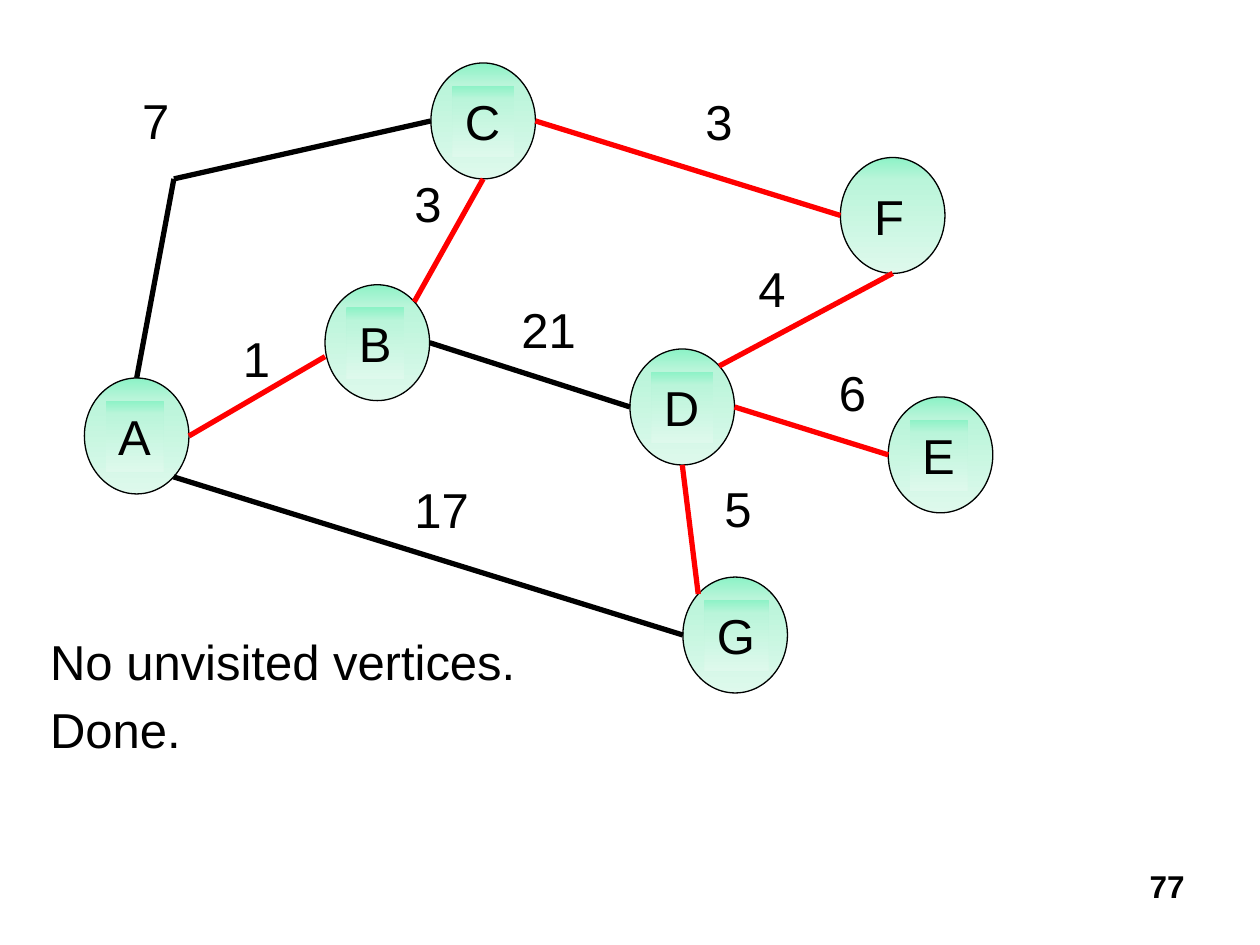
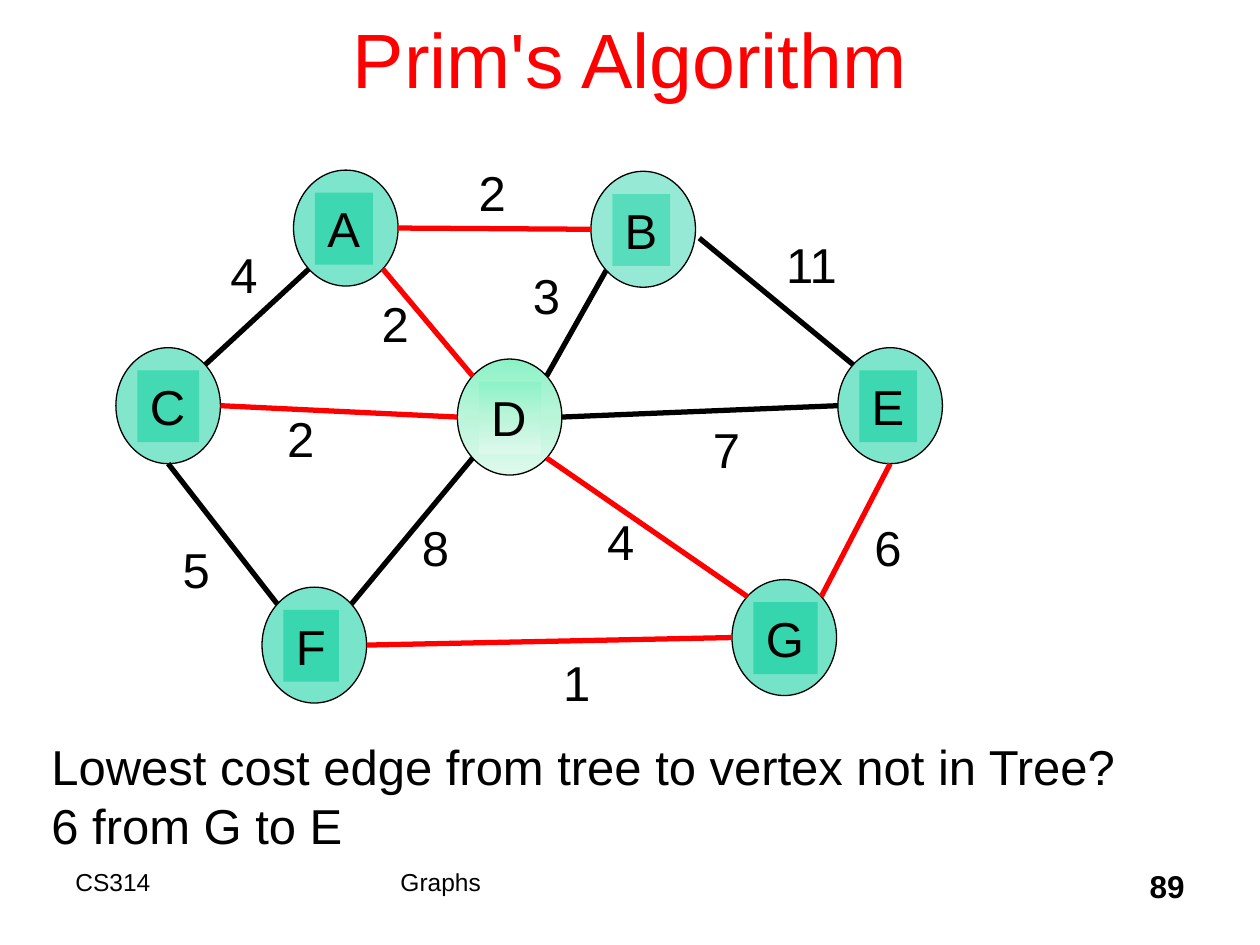
import math
import lxml.etree
import pptx
import pptx.dml.color
import pptx.enum.shapes
import pptx.enum.text
import pptx.oxml
import pptx.oxml.ns
import pptx.util

Inches = pptx.util.Inches
ALIGN = pptx.enum.text.PP_ALIGN
qualified = pptx.oxml.ns.qn

THEME = {
    "font": "Arial", "black": "000000", "red": "FF0000", "green": "00CC99",
    "mint": ["8CF2C6", "BAF5DA", "DEF9EC"],
    "title": 44, "body": 28, "page": 18, "footer": 14,
    "edge": 3, "outline": 0.75,
}
SLIDE_SIZE = (10, 7.5)
NODE_SIZE = (0.83, 0.92)
LETTER_OFFSET = (0.17, 0.18)
LINE_HEIGHT = 0.57
TEXT_WIDTHS = {"A": 0.46, "B": 0.46, "C": 0.49, "D": 0.49, "E": 0.46,
               "F": 0.44, "G": 0.51, "11": 0.61}
FOOTER_TOP, FOOTER_HEIGHT = 6.83, 0.5

# Compass points on a vertex, as clockwise degrees from east
COMPASS = {"E": 0, "SE": 45, "S": 90, "SW": 135, "W": 180, "NW": 225, "N": 270, "NE": 315}

# nodes: letter -> (left, top, alpha percent; None means the mint gradient)
# edges: two ends, each "vertex compass-point" or a free (x, y)
# weights: (text, left, top)
FINISHED_TREE = {
    "page": "77",
    "middle_stop": 19,
    "plain_letters": "F",
    "nodes": {
        "A": (0.67, 3, None), "B": (2.58, 2.26, None), "C": (3.42, 0.5, None),
        "F": (6.67, 1.25, None), "D": (5, 2.77, None), "E": (7.05, 3.15, None),
        "G": (5.42, 4.58, None),
    },
    "tree_edges": [
        ("A E", (2.58, 2.83)), ("B NE", "C S"), ("C E", "F W"),
        ("F S", "D NE"), ("D E", "E W"), ("D S", "G NW"),
    ],
    "other_edges": [
        ("B E", "D W"), ("A SE", "G W"),
        ("A N", (1.38, 1.42)), ((1.38, 1.42), "C W"),
    ],
    "weights": [
        ("1", 1.83, 2.56), ("3", 3.19, 1.33), ("3", 5.5, 0.68), ("21", 4.04, 2.33),
        ("4", 5.92, 2), ("6", 6.56, 2.83), ("17", 3.19, 3.76), ("5", 5.65, 3.75),
        ("7", 1.03, 0.67),
    ],
    "caption": ["No unvisited vertices.", "Done."],
    "caption_place": (0.3, 4.96, 3.94, 1.14),
    "caption_wrap": False,
}
LAST_STEP = {
    "title": "Prim's Algorithm",
    "footers": [("CS314", 0.5, 2.5), ("Graphs", 3.08, 3.83)],
    "page": "89",
    "middle_stop": 50,
    "plain_letters": "",
    "nodes": {
        "A": (2.33, 1.35, 51), "B": (4.69, 1.36, 41), "C": (0.92, 2.76, 49),
        "F": (2.08, 4.66, 53), "D": (3.63, 2.85, None), "E": (6.65, 2.76, 51),
        "G": (5.81, 4.6, 54),
    },
    "tree_edges": [
        ("A E", "B W"), ("F E", "G W"), ("C E", "D W"),
        ("E S", "G NE"), ("A SE", "D NW"), ("D SE", "G NW"),
    ],
    "other_edges": [
        ((5.55, 1.89), "E NW"), ("A SW", "C NE"), ("C S", "F NW"),
        ("D E", "E W"), ("D NE", "B SW"), ("D SW", "F NE"),
    ],
    "weights": [
        ("2", 2.93, 2.28), ("3", 4.13, 2.06), ("11", 6.14, 1.81), ("2", 3.7, 1.24),
        ("7", 5.56, 3.28), ("6", 6.84, 4.06), ("2", 2.18, 3.19), ("1", 4.37, 5.13),
        ("4", 1.73, 1.89), ("5", 1.35, 4.23), ("8", 3.25, 4.06), ("4", 4.72, 4.01),
    ],
    "caption": ["Lowest cost edge from tree to vertex not in Tree?\v6 from G to E"],
    "caption_place": (0.31, 5.8, 10.08, 1.04),
    "caption_wrap": True,
}


def rgb(color):
    return pptx.dml.color.RGBColor.from_string(color)


def write(frame, paragraphs, size=THEME["body"], color=THEME["black"], bold=False,
          align=ALIGN.LEFT, space_before=0, wrap=True, grow=False):
    """Fill a text frame; space_before is a percentage of the line."""
    frame.word_wrap = wrap
    if grow:
        frame.auto_size = pptx.enum.text.MSO_AUTO_SIZE.SHAPE_TO_FIT_TEXT
    for index, text in enumerate(paragraphs):
        para = frame.add_paragraph() if index else frame.paragraphs[0]
        para.text = text
        para.alignment = align
        if space_before:
            spacing = lxml.etree.SubElement(para._p.get_or_add_pPr(), qualified("a:spcBef"))
            lxml.etree.SubElement(spacing, qualified("a:spcPct"), val=str(space_before * 1000))
        for span in para.runs:
            span.font.name = THEME["font"]
            span.font.size = pptx.util.Pt(size)
            span.font.bold = bold
            span.font.color.rgb = rgb(color)


def add_text(shapes, place, paragraphs, **style):
    box = shapes.add_textbox(*map(Inches, place))
    write(box.text_frame, paragraphs, **style)
    return box


def add_label(shapes, text, left, top):
    width = TEXT_WIDTHS.get(text, 0.42 if len(text) == 1 else 0.64)
    return add_text(shapes, (left, top, width, LINE_HEIGHT), [text],
                    space_before=20, wrap=False, grow=True)


def paint(shape, alpha, middle_stop):
    """Fill with see-through green, or with the mint gradient if alpha is None."""
    if alpha is not None:
        shape.fill.solid()
        shape.fill.fore_color.rgb = rgb(THEME["green"])
        color = shape.element.spPr.find(".//" + qualified("a:srgbClr"))
        lxml.etree.SubElement(color, qualified("a:alpha"), val=str(alpha * 1000))
        return
    stops = "".join(
        f'<a:gs pos="{stop * 1000}"><a:srgbClr val="{color}"/></a:gs>'
        for stop, color in zip((0, middle_stop, 100), THEME["mint"]))
    gradient = pptx.oxml.parse_xml(
        f'<a:gradFill {pptx.oxml.ns.nsdecls("a")} rotWithShape="1"><a:gsLst>{stops}</a:gsLst>'
        '<a:lin ang="5400000" scaled="0"/></a:gradFill>')
    shape.fill.background()
    properties = shape.element.spPr
    properties.replace(properties.find(qualified("a:noFill")), gradient)


def add_node(page, letter, content):
    left, top, alpha = content["nodes"][letter]
    group = page.shapes.add_group_shape()
    oval = group.shapes.add_shape(pptx.enum.shapes.MSO_SHAPE.OVAL,
                                  *map(Inches, (left, top, *NODE_SIZE)))
    oval.shadow.inherit = False
    oval.line.color.rgb = rgb(THEME["black"])
    oval.line.width = pptx.util.Pt(THEME["outline"])
    label = add_label(group.shapes, letter, left + LETTER_OFFSET[0], top + LETTER_OFFSET[1])
    paint(oval, alpha, content["middle_stop"])
    if letter not in content["plain_letters"]:
        paint(label, alpha, content["middle_stop"])


def locate(end, nodes):
    """Turn an edge end into a point in inches."""
    if not isinstance(end, str):
        return end
    letter, compass = end.split()
    left, top, _ = nodes[letter]
    angle = math.radians(COMPASS[compass])
    return (left + NODE_SIZE[0] / 2 * (1 + math.cos(angle)),
            top + NODE_SIZE[1] / 2 * (1 + math.sin(angle)))


def add_edge(page, ends, nodes, color):
    points = [Inches(value) for end in ends for value in locate(end, nodes)]
    edge = page.shapes.add_connector(pptx.enum.shapes.MSO_CONNECTOR.STRAIGHT, *points)
    edge.line.color.rgb = rgb(color)
    edge.line.width = pptx.util.Pt(THEME["edge"])
    lxml.etree.SubElement(edge.element.spPr, qualified("a:effectLst"))


def add_title(page, text):
    title = page.shapes.title
    title.left, title.top, title.width, title.height = map(Inches, (0.75, -0.17, 8.5, 1.25))
    title.text_frame.vertical_anchor = pptx.enum.text.MSO_ANCHOR.MIDDLE
    write(title.text_frame, [text], size=THEME["title"], color=THEME["red"],
          align=ALIGN.CENTER)


def add_graph_page(deck, content):
    title_only, blank = deck.slide_layouts[5], deck.slide_layouts[6]
    page = deck.slides.add_slide(title_only if "title" in content else blank)
    if "title" in content:
        add_title(page, content["title"])
    for text, left, width in content.get("footers", []):
        add_text(page.shapes, (left, FOOTER_TOP, width, FOOTER_HEIGHT), [text],
                 size=THEME["footer"])
    add_text(page.shapes, (7.42, FOOTER_TOP, 2.08, FOOTER_HEIGHT), [content["page"]],
             size=THEME["page"], bold=True, align=ALIGN.RIGHT)
    for letter in content["nodes"]:
        add_node(page, letter, content)
    for kind, color in (("tree_edges", THEME["red"]), ("other_edges", THEME["black"])):
        for ends in content[kind]:
            add_edge(page, ends, content["nodes"], color)
    for weight in content["weights"]:
        add_label(page.shapes, *weight)
    add_text(page.shapes, content["caption_place"], content["caption"],
             space_before=20, wrap=content["caption_wrap"], grow=True)


def main():
    deck = pptx.Presentation()
    deck.slide_width, deck.slide_height = map(Inches, SLIDE_SIZE)
    for content in (FINISHED_TREE, LAST_STEP):
        add_graph_page(deck, content)
    deck.save("out.pptx")


if __name__ == "__main__":
    main()
